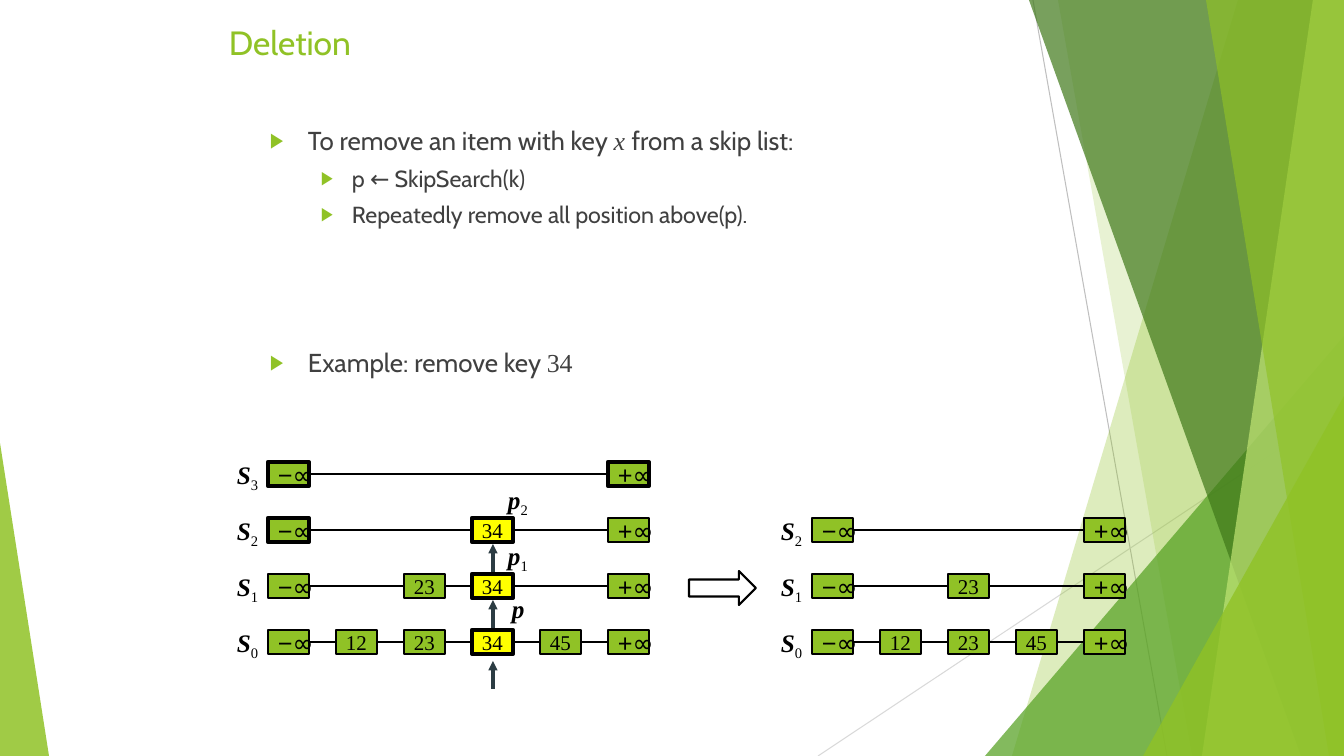
from dataclasses import dataclass
from itertools import pairwise

from lxml.etree import SubElement
from pptx import Presentation
from pptx.dml.color import RGBColor
from pptx.enum.shapes import MSO_CONNECTOR, MSO_SHAPE
from pptx.enum.text import MSO_ANCHOR, MSO_AUTO_SIZE
from pptx.oxml.ns import qn
from pptx.util import Pt

PX = 914400 / 100.8


@dataclass(frozen=True)
class Theme:
    green: str = "90C226"
    leaf: str = "54A021"
    forest: str = "3F7819"
    lime: str = "C0E474"
    removed: str = "FFFF00"
    ink: str = "000000"
    body: str = "404040"
    pointer: str = "2C3C43"
    gray: str = "BFBFBF"
    pale_gray: str = "D9D9D9"
    sans: str = "Cabin"
    serif: str = "Times New Roman"
    sign: str = "Arial"
    title_size: float = 24
    item_size: float = 18.5
    step_size: float = 16.6
    label_size: float = 18
    key_size: float = 15
    hairline: float = 0.75
    thin: float = 1.5
    arrow: float = 2.25
    thick: float = 3


THEME = Theme()

HAIRLINES = [((1033, 0), (1167, 756), THEME.gray),
             ((1344, 406), (818, 756), THEME.pale_gray)]
FACETS = [
    (((1238, 0), (1344, 0), (1344, 756), (1012, 756)), THEME.green, 30),
    (((1058, 0), (1344, 0), (1344, 756), (1192, 756)), THEME.green, 20),
    ((985, 336, 359, 420, 1), THEME.leaf, 72),
    (((1029, 0), (1344, 0), (1344, 756), (1301, 756)), THEME.forest, 70),
    (((1313, 0), (1344, 0), (1344, 756), (1202, 756)), THEME.lime, 70),
    (((1206, 0), (1344, 0), (1344, 756), (1329, 756)), THEME.green, 65),
    ((1143, 396, 201, 360, 1), THEME.green, 80),
    ((0, 443, 49, 313, 0), THEME.green, 85),
]

TITLE = "Deletion"
ITEM, STEP = 0, 1
BULLETS = [
    (ITEM, 0, [("To remove an item with key ", THEME.sans),
               ("x ", THEME.serif), ("from a skip list:", THEME.sans)]),
    (STEP, 10, [("p ← SkipSearch(k)", THEME.sans)]),
    (STEP, 10, [("Repeatedly remove all position above(p).", THEME.sans)]),
    (ITEM, 89, [("Example: remove key ", THEME.sans), ("34", THEME.serif)]),
]
LEVELS = {ITEM: (38, -38, THEME.item_size), STEP: (82, -31, THEME.step_size)}

LOW, HIGH, REMOVED_KEY = "−∞", "+∞", "34"
BEFORE = [
    (3, {0: LOW, 5: HIGH}, {0, 5}),
    (2, {0: LOW, 3: REMOVED_KEY, 5: HIGH}, {0, 3}),
    (1, {0: LOW, 2: "23", 3: REMOVED_KEY, 5: HIGH}, {3}),
    (0, {0: LOW, 1: "12", 2: "23", 3: REMOVED_KEY, 4: "45", 5: HIGH}, {3}),
]
AFTER = [
    (2, {0: LOW, 4: HIGH}, set()),
    (1, {0: LOW, 2: "23", 4: HIGH}, set()),
    (0, {0: LOW, 1: "12", 2: "23", 3: "45", 4: HIGH}, set()),
]
SKIP_LISTS = [(268, BEFORE), (812, AFTER)]
POSITIONS = [("", 502, 588), ("1", 498, 535), ("2", 498, 479)]
POINTER_X, POINTER_LENGTH, POINTER_TOPS = 493, 28, (544, 600, 661)
RESULT_ARROW = (689, 571, 67, 34)

NODE_W, NODE_H, SLOT_PITCH = 41, 24, 68
BASE_TOP, LEVEL_PITCH = 630, 56
LABEL_DX, LABEL_DY = -41, -8


def emu(*lengths):
    return [round(length * PX) for length in lengths]


def rgb(color):
    return RGBColor.from_string(color)


def add_run(paragraph, text, font, size, color, bold=False, italic=False):
    run = paragraph.add_run()
    run.text = text
    run.font.name, run.font.size = font, Pt(size)
    run.font.color.rgb = rgb(color)
    run.font.bold, run.font.italic = bold, italic
    return run


def add_line(slide, start, end, color, width):
    line = slide.shapes.add_connector(MSO_CONNECTOR.STRAIGHT, *emu(*start, *end))
    line.line.color.rgb, line.line.width = rgb(color), Pt(width)
    SubElement(line._element.spPr, qn("a:effectLst"))
    return line


def add_facet(slide, outline, color, opacity):
    if isinstance(outline[0], tuple):
        start, *corners = outline
        builder = slide.shapes.build_freeform(*start, scale=PX)
        builder.add_line_segments(corners, close=True)
        facet = builder.convert_to_shape()
    else:
        *frame, apex = outline
        facet = slide.shapes.add_shape(MSO_SHAPE.ISOSCELES_TRIANGLE, *emu(*frame))
        facet.adjustments[0] = apex
    facet.shadow.inherit = False
    facet.line.fill.background()
    facet.fill.solid()
    facet.fill.fore_color.rgb = rgb(color)
    tint = facet._element.spPr.find(".//" + qn("a:srgbClr"))
    SubElement(tint, qn("a:alpha"), val=str(opacity * 1000))


def add_text(slide, *frame):
    box = slide.shapes.add_textbox(*emu(*frame))
    box.text_frame.word_wrap = True
    return box.text_frame


def add_bullets(slide):
    body = add_text(slide, 260, 126, 849, 260)
    for index, (level, space, parts) in enumerate(BULLETS):
        paragraph = body.add_paragraph() if index else body.paragraphs[0]
        margin, indent, size = LEVELS[level]
        paragraph.level = level
        paragraph.line_spacing, paragraph.space_before = 0.8, Pt(space)
        properties = paragraph._p.get_or_add_pPr()
        properties.set("marL", str(emu(margin)[0]))
        properties.set("indent", str(emu(indent)[0]))
        bullet_color = SubElement(properties, qn("a:buClr"))
        SubElement(bullet_color, qn("a:srgbClr"), val=THEME.green)
        SubElement(properties, qn("a:buSzPct"), val="80000")
        SubElement(properties, qn("a:buFont"), typeface=THEME.sign)
        SubElement(properties, qn("a:buChar"), char="▶")
        for text, font in parts:
            add_run(paragraph, text, font, size, THEME.body, italic=text == "x ")


def add_label(slide, letter, subscript, left, top):
    label = add_text(slide, left, top, 42, 40)
    label.word_wrap = False
    label.auto_size = MSO_AUTO_SIZE.SHAPE_TO_FIT_TEXT
    style = THEME.serif, THEME.label_size, THEME.ink
    add_run(label.paragraphs[0], letter, *style, bold=True, italic=True)
    if subscript:
        index = add_run(label.paragraphs[0], subscript, *style)
        index._r.get_or_add_rPr().set("baseline", "-25000")


def add_node(slide, key, left, top, width):
    node = slide.shapes.add_shape(MSO_SHAPE.RECTANGLE, *emu(left, top, NODE_W, NODE_H))
    node.shadow.inherit = False
    node.fill.solid()
    node.fill.fore_color.rgb = rgb(THEME.removed if key == REMOVED_KEY else THEME.green)
    node.line.color.rgb, node.line.width = rgb(THEME.ink), Pt(width)
    frame = node.text_frame
    frame.word_wrap, frame.vertical_anchor = False, MSO_ANCHOR.MIDDLE
    paragraph = frame.paragraphs[0]
    paragraph.alignment = 1
    if key in (LOW, HIGH):
        for text, font in zip(key, (THEME.sign, THEME.sans)):
            add_run(paragraph, text, font, THEME.label_size, THEME.ink)
    else:
        add_run(paragraph, key, THEME.serif, THEME.key_size, THEME.ink)


def add_skip_list(slide, left, rows):
    for level, nodes, thick_slots in rows:
        top = BASE_TOP - level * LEVEL_PITCH
        middle = top + NODE_H // 2
        lefts = {slot: left + slot * SLOT_PITCH for slot in nodes}
        add_label(slide, "S", str(level), left + LABEL_DX, top + LABEL_DY)
        for near, far in pairwise(lefts.values()):
            add_line(slide, (near + NODE_W + 1, middle), (far - 1, middle), THEME.ink, THEME.thin)
        for slot, key in nodes.items():
            width = THEME.thick if slot in thick_slots else THEME.thin
            add_node(slide, key, lefts[slot], top, width)


def main():
    deck = Presentation()
    deck.slide_width, deck.slide_height = emu(1344, 756)
    slide = deck.slides.add_slide(deck.slide_layouts[6])
    for start, end, color in HAIRLINES:
        add_line(slide, start, end, color, THEME.hairline)
    for facet in FACETS:
        add_facet(slide, *facet)
    title = add_text(slide, 219, 17, 907, 93)
    add_run(title.paragraphs[0], TITLE, THEME.sans, THEME.title_size, THEME.green)
    add_bullets(slide)
    for left, rows in SKIP_LISTS:
        add_skip_list(slide, left, rows)
    result = slide.shapes.add_shape(MSO_SHAPE.RIGHT_ARROW, *emu(*RESULT_ARROW))
    result.shadow.inherit = False
    result.fill.background()
    result.line.color.rgb, result.line.width = rgb(THEME.ink), Pt(THEME.thin)
    for subscript, left, top in POSITIONS:
        add_label(slide, "p", subscript, left, top)
    for top in POINTER_TOPS:
        pointer = add_line(slide, (POINTER_X, top), (POINTER_X, top + POINTER_LENGTH),
                           THEME.pointer, THEME.arrow)
        SubElement(pointer.line._get_or_add_ln(), qn("a:headEnd"), type="triangle")
    deck.save("out.pptx")


if __name__ == "__main__":
    main()
